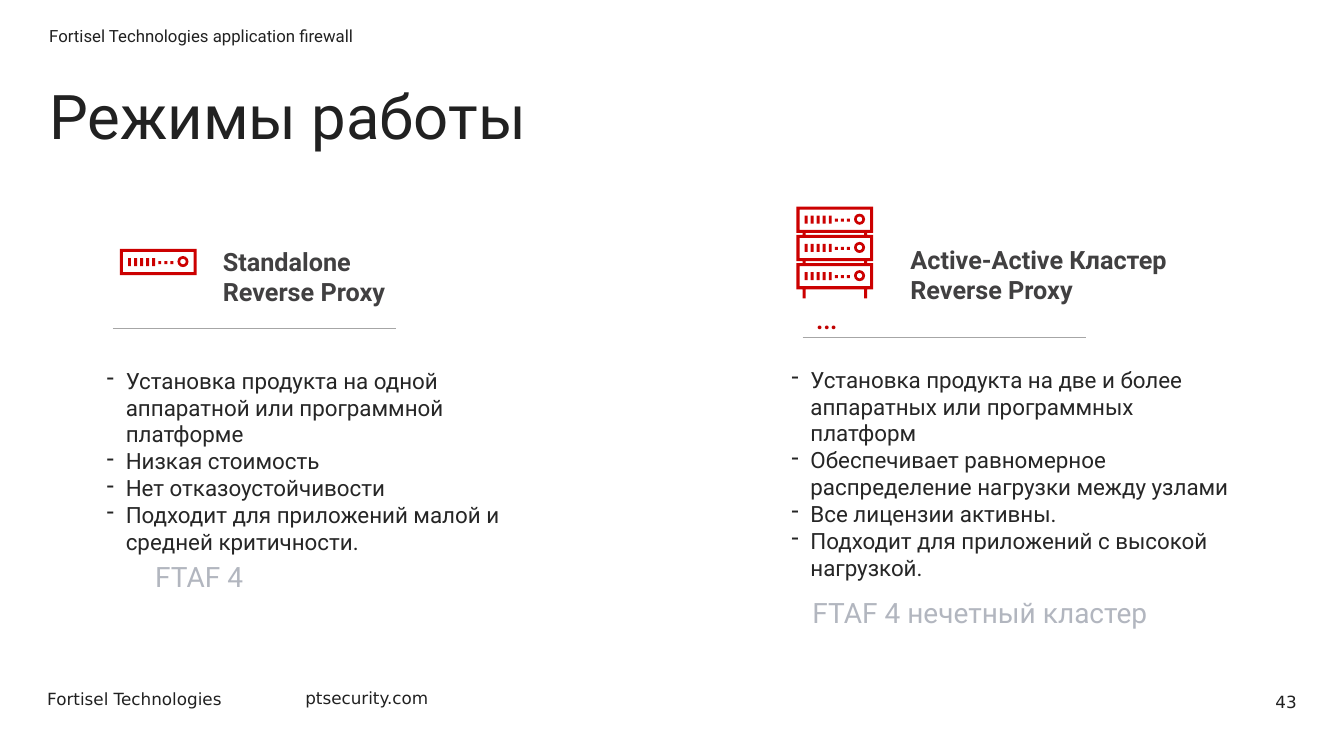
from dataclasses import dataclass

from lxml import etree
from pptx import Presentation
from pptx.dml.color import RGBColor as RGB
from pptx.enum.shapes import MSO_CONNECTOR as CONN, MSO_SHAPE as SHAPE
from pptx.enum.text import MSO_ANCHOR as ANCHOR, MSO_AUTO_SIZE as AUTO, PP_ALIGN as ALIGN
from pptx.oxml.ns import qn
from pptx.util import Inches, Pt


@dataclass(frozen=True)
class Theme:
    font: str = "Roboto"
    footer_font: str = "DejaVu Sans"
    ink: str = "212121"
    body: str = "262626"
    heading: str = "414041"
    muted: str = "B2B6BF"
    rule: str = "A6A6A6"
    server: str = "CC0000"
    dots: str = "C00000"
    title_size: int = 44
    dots_size: int = 24
    version_size: int = 20
    heading_size: int = 18
    body_size: int = 16
    small_size: int = 12


class Deck:
    """Holds the theme and the current slide."""

    def __init__(self, prs, theme):
        self.theme = theme
        self.slide = prs.slides.add_slide(prs.slide_layouts[6])
        self.shapes = self.slide.shapes

    def text(self, box, lines, size, color, font=None, bold=False, bullet=False,
             spacing=None, after=None, align=None, anchor=ANCHOR.TOP,
             inset=0.1, wrap=True):
        sp = self.shapes.add_textbox(*map(Inches, box))
        tf = sp.text_frame
        tf.word_wrap = wrap
        tf.auto_size = AUTO.NONE if wrap else AUTO.SHAPE_TO_FIT_TEXT
        tf.vertical_anchor = anchor
        tf.margin_left = tf.margin_right = Inches(inset)
        for i, line in enumerate(lines):
            p = tf.add_paragraph() if i else tf.paragraphs[0]
            p.text = line
            p.alignment = align
            if spacing:
                p.line_spacing = spacing
            if after:
                p.space_after = after
            if bullet:
                pPr = p._p.get_or_add_pPr()
                pPr.set("marL", str(Inches(0.19)))
                pPr.set("indent", str(-Inches(0.19)))
                etree.SubElement(pPr, qn("a:buChar")).set("char", "-")
            for r in p.runs:
                r.font.name = font or self.theme.font
                r.font.size = Pt(size)
                r.font.bold = bold
                r.font.color.rgb = RGB.from_string(color)

    def rule(self, x, y, width):
        line = self.shapes.add_connector(
            CONN.STRAIGHT, *map(Inches, (x, y, x + width, y)))
        line.line.color.rgb = RGB.from_string(self.theme.rule)
        line.line.width = Pt(0.5)
        etree.SubElement(line._element.spPr, qn("a:effectLst"))

    def paint(self, sp):
        sp.shadow.inherit = False
        sp.fill.solid()
        sp.fill.fore_color.rgb = RGB.from_string(self.theme.server)
        sp.line.fill.background()

    def detail(self, group, kind, x, y, w, h):
        sp = group.shapes.add_shape(kind, *map(Inches, (x, y, w, h)))
        self.paint(sp)
        return sp

    def servers(self, x, y, count, legs=False):
        """Draws a stack of rack servers, optionally standing on legs."""
        width, height, pitch, edge = 0.76, 0.26, 0.28, 0.03
        group = self.shapes.add_group_shape()
        tops = [y + i * pitch for i in range(count)]

        # Cases: an outer and an inner outline each, with legs below
        outlines = []
        for i, top in enumerate(tops):
            outlines += [(x, top, width, height),
                         (x + edge, top + edge, width - 2 * edge, height - 2 * edge)]
            if legs:
                drop = 0.09 if i == count - 1 else pitch - height
                outlines += [(x + dx, top + height, edge, drop) for dx in (0.06, 0.67)]
        outline = group.shapes.build_freeform(Inches(x), Inches(y))
        for left, top, w, h in outlines:
            corners = [(left, top), (left + w, top), (left + w, top + h), (left, top + h)]
            points = [(Inches(a), Inches(b)) for a, b in corners]
            outline.move_to(*points[0])
            outline.add_line_segments(points[1:], close=True)
        self.paint(outline.convert_to_shape())

        # Front panels: slots, lights and a dial
        for top in tops:
            for i in range(5):
                self.detail(group, SHAPE.RECTANGLE, x + 0.08 + i * 0.06, top + 0.09, 0.03, 0.08)
            for i in range(3):
                self.detail(group, SHAPE.RECTANGLE, x + 0.38 + i * 0.06, top + 0.12, 0.03, 0.03)
            dial = self.detail(group, SHAPE.DONUT, x + 0.57, top + 0.07, 0.11, 0.11)
            dial.adjustments[0] = 0.25


def main():
    prs = Presentation()
    prs.slide_width, prs.slide_height = Inches(13.33), Inches(7.5)
    t = Theme()
    deck = Deck(prs, t)

    # Header
    deck.text((0.39, 0.16, 10.33, 0.4), ["Fortisel Technologies application firewall"],
              t.small_size, t.ink, after=Pt(12), anchor=ANCHOR.MIDDLE)
    deck.text((0.39, 0.81, 10.53, 1.56), ["Режимы работы"],
              t.title_size, t.ink, spacing=0.9)

    # Server icons
    deck.servers(1.19, 2.47, 1)
    deck.servers(7.9, 2.05, 3, legs=True)
    deck.text((7.99, 2.59, 1.17, 0.72), ["…"], t.dots_size, t.dots, spacing=Pt(50))

    # Operating modes: heading, rule, features, version
    modes = [
        ((2.16, 2.39, 2.61, 0.71), "Standalone\nReverse Proxy", (1.12, 3.26),
         (0.96, 3.59, 4.73, 1.72),
         ["Установка продукта на одной аппаратной или программной платформе",
          "Низкая стоимость",
          "Нет отказоустойчивости",
          "Подходит для приложений малой и средней критичности."],
         (1.44, 5.14, 1.39, 0.7), "FTAF 4"),
        ((8.98, 2.37, 2.74, 0.71), "Active-Active Кластер Reverse Proxy", (7.96, 3.35),
         (7.75, 3.58, 4.63, 1.99),
         ["Установка продукта на две и более аппаратных или программных платформ",
          "Обеспечивает равномерное распределение нагрузки между узлами",
          "Все лицензии активны.",
          "Подходит для приложений с высокой нагрузкой."],
         (7.96, 5.5, 4.94, 0.7), "FTAF 4 нечетный кластер"),
    ]
    for head_box, head, rule_at, list_box, features, version_box, version in modes:
        deck.text(head_box, [head], t.heading_size, t.heading, bold=True, inset=0.05)
        deck.rule(*rule_at, 2.81)
        deck.text(list_box, features, t.body_size, t.body, bullet=True)
        deck.text(version_box, [version], t.version_size, t.muted, spacing=Pt(50))

    # Footer
    for box, label in [((0.37, 6.78, 1.98, 0.3), "Fortisel Technologies"),
                       ((2.93, 6.77, 1.44, 0.3), "ptsecurity.com")]:
        deck.text(box, [label], t.small_size, t.ink, font=t.footer_font, wrap=False)
    deck.text((10.72, 6.76, 2.24, 0.4), ["43"], t.small_size, t.ink,
              font=t.footer_font, align=ALIGN.RIGHT, anchor=ANCHOR.MIDDLE)

    prs.save("out.pptx")


if __name__ == "__main__":
    main()
